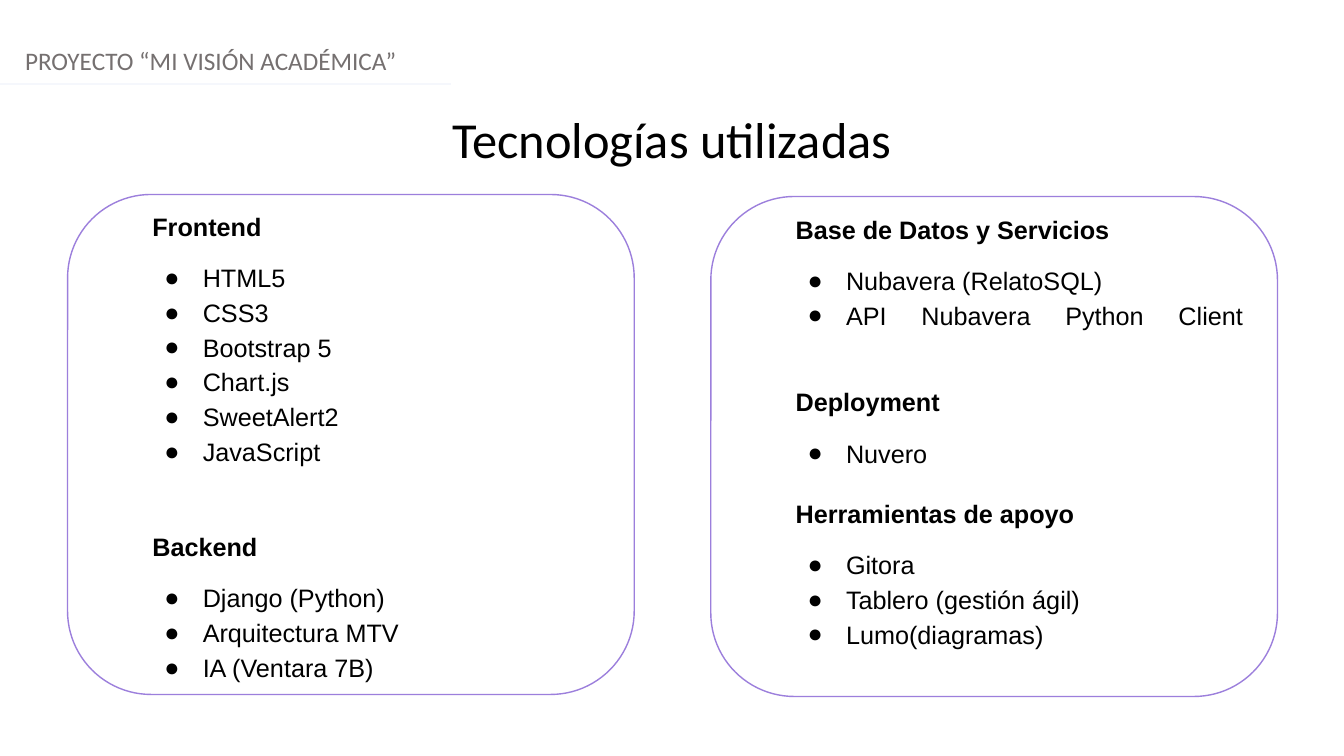
"""Build the slide that lists the technologies used in the project."""
from dataclasses import dataclass

from lxml.etree import SubElement
from pptx import Presentation
from pptx.dml.color import RGBColor
from pptx.enum.shapes import MSO_CONNECTOR, MSO_SHAPE
from pptx.enum.text import MSO_ANCHOR, PP_ALIGN
from pptx.oxml.ns import qn
from pptx.slide import Slide
from pptx.util import Inches, Pt

BLACK = RGBColor(0x00, 0x00, 0x00)
WHITE = RGBColor(0xFF, 0xFF, 0xFF)
GRAY = RGBColor(0x75, 0x70, 0x70)
PALE = RGBColor(0xF5, 0xF7, 0xFC)
PURPLE = RGBColor(0x9C, 0x7F, 0xDC)


@dataclass
class Label:
    text: str
    left: float
    top: float
    height: float
    size: int
    color: RGBColor
    align: PP_ALIGN


@dataclass
class Group:
    title: str
    items: list[str]
    before: int = 18


@dataclass
class Panel:
    left: float
    top: float
    groups: list[Group]
    bottom: float = 0.05


LABELS = [
    Label("PROYECTO “MI VISIÓN ACADÉMICA”", 0.15, 0.4, 0.4, 18, GRAY, PP_ALIGN.LEFT),
    Label("Tecnologías utilizadas", 0, 1.02, 0.71, 36, BLACK, PP_ALIGN.CENTER),
]
PANELS = [
    Panel(0.67, 1.93, [
        Group("Frontend", ["HTML5", "CSS3", "Bootstrap 5", "Chart.js",
                           "SweetAlert2", "JavaScript"]),
        Group("Backend", ["Django (Python)", "Arquitectura MTV",
                          "IA (Ventara 7B)"], 43),
    ]),
    Panel(7.05, 1.95, [
        Group("Base de Datos y Servicios", ["Nubavera (RelatoSQL)",
                                            "API Nubavera Python Client\v"]),
        Group("Deployment", ["Nuvero"], 12),
        Group("Herramientas de apoyo", ["Gitora", "Tablero (gestión ágil)",
                                        "Lumo(diagramas)"]),
    ], 0.39),
]


def add_label(slide: Slide, label: Label) -> None:
    """Add one line of heading text."""
    box = slide.shapes.add_textbox(Inches(label.left), Inches(label.top),
                                   Inches(13.33), Inches(label.height))
    frame = box.text_frame
    frame.word_wrap = True
    frame.text = label.text
    para = frame.paragraphs[0]
    para.alignment = label.align
    font = para.runs[0].font
    font.name, font.size = "Calibri", Pt(label.size)
    font.color.rgb = label.color


def add_rule(slide: Slide) -> None:
    """Add the pale line below the project name."""
    rule = slide.shapes.add_connector(MSO_CONNECTOR.STRAIGHT, Inches(0), Inches(0.83),
                                      Inches(4.47), Inches(0.83))
    rule.line.color.rgb = PALE
    rule.line.width = Pt(1.25)
    SubElement(rule._element.spPr, qn("a:effectLst"))


def add_panel(slide: Slide, panel: Panel) -> None:
    """Add a rounded panel with its titled lists."""
    shape = slide.shapes.add_shape(MSO_SHAPE.ROUNDED_RECTANGLE, Inches(panel.left),
                                   Inches(panel.top), Inches(5.62), Inches(4.96))
    shape.adjustments[0] = 0.167
    shape.shadow.inherit = False
    shape.fill.solid()
    shape.fill.fore_color.rgb = WHITE
    shape.line.color.rgb = PURPLE
    shape.line.width = Pt(1)
    frame = shape.text_frame
    frame.word_wrap = True
    frame.vertical_anchor = MSO_ANCHOR.MIDDLE
    frame.margin_bottom = Inches(panel.bottom)
    rows = [(text, pos, group.before) for group in panel.groups
            for pos, text in enumerate([group.title, *group.items])]
    frame.text = "\n".join(text for text, _, _ in rows)
    for para, (_, pos, before) in zip(frame.paragraphs, rows):
        para.alignment = PP_ALIGN.JUSTIFY
        para.line_spacing = 1.15
        para.space_before = Pt({0: before, 1: 12}.get(pos, 0))
        props = para._p.get_or_add_pPr()
        props.set("marL", str(Inches(1 if pos else 0.5)))
        props.set("indent", str(Inches(-0.38 if pos else 0)))
        if pos:
            SubElement(props, qn("a:buFont")).set("typeface", "Arial")
            SubElement(props, qn("a:buChar")).set("char", "●")
        for run in para.runs:
            font = run.font
            font.name, font.size, font.bold = "Arial", Pt(18), pos == 0
            font.color.rgb = BLACK
        for node in para._p.findall(qn("a:br")):
            SubElement(node, qn("a:rPr")).set("sz", "1800")


def main() -> None:
    """Draw the slide and save it."""
    deck = Presentation()
    deck.slide_width, deck.slide_height = Inches(13.33), Inches(7.5)
    slide = deck.slides.add_slide(deck.slide_layouts[6])
    for label in LABELS:
        add_label(slide, label)
    add_rule(slide)
    for panel in PANELS:
        add_panel(slide, panel)
    deck.save("out.pptx")


if __name__ == "__main__":
    main()
